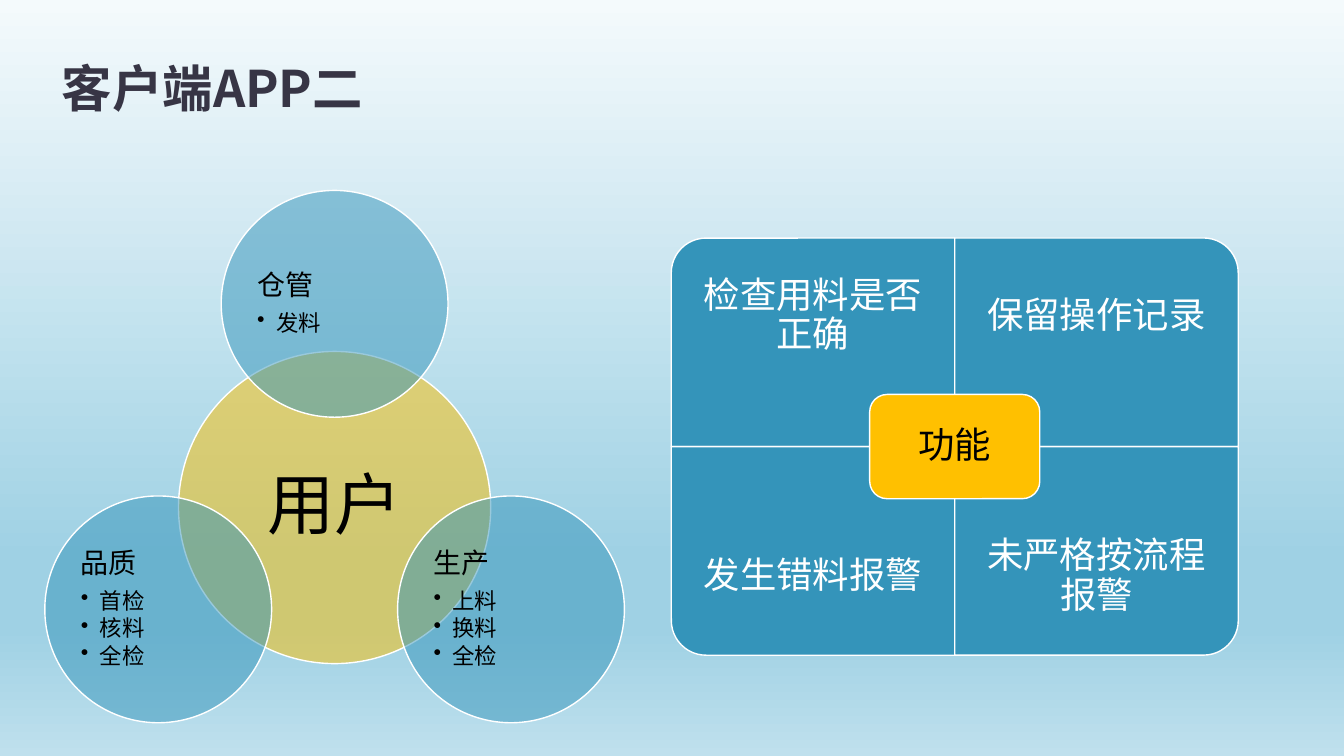
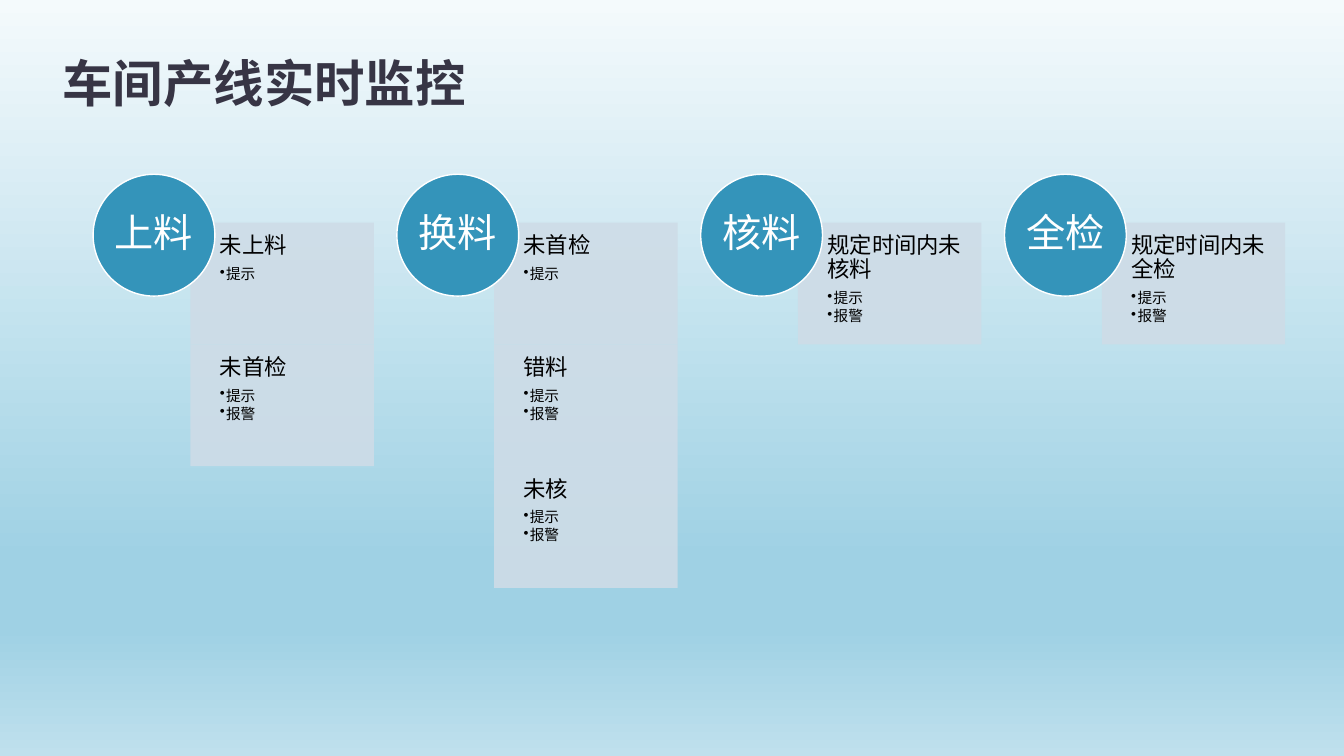
from math import cos, radians, sin

from lxml.etree import SubElement
from pptx import Presentation
from pptx.dml.color import RGBColor
from pptx.enum.shapes import MSO_SHAPE
from pptx.enum.text import MSO_ANCHOR, MSO_AUTO_SIZE, PP_ALIGN
from pptx.oxml.ns import qn
from pptx.util import Pt

FONT = "Noto Sans CJK SC"
BLUE = RGBColor(0x34, 0x94, 0xBA)
GOLD = RGBColor(0xFF, 0xC0, 0x00)
PALE = RGBColor(0xCE, 0xDC, 0xE7)
DARK = RGBColor(0x37, 0x35, 0x45)
WHITE = RGBColor(0xFF, 0xFF, 0xFF)
BLACK = RGBColor(0x00, 0x00, 0x00)
SKY = ((0, "F4FAFC"), (74, "9FD1E4"), (83, "9FD1E4"), (100, "BFE0ED"))


def paint_sky(master):
    """Give the master its four-stop vertical gradient."""
    fill = master.background.fill
    fill.gradient()
    fill.gradient_angle = 270
    stops = master.element.find(".//" + qn("p:bg")).find(".//" + qn("a:gsLst"))
    for stop in list(stops):
        stops.remove(stop)
    for place, shade in SKY:
        stop = SubElement(stops, qn("a:gs"), pos=str(place * 1000))
        SubElement(stop, qn("a:srgbClr"), val=shade)


def set_font(para, size, color, bold=False):
    font = para.font
    font.size, font.bold, font.name = Pt(size), bold, FONT
    font.color.rgb = color
    props = para._p.pPr.find(qn("a:defRPr"))
    SubElement(props, qn("a:ea"), typeface=FONT)


def add_title(deck, text, left, top):
    """Add a slide with the shared title style."""
    slide = deck.slides.add_slide(deck.slide_layouts[5])
    title = slide.shapes.title
    title.left, title.top = Pt(left), Pt(top)
    title.width, title.height = Pt(864), Pt(84)
    frame = title.text_frame
    frame.text = text
    frame.word_wrap = True
    frame.auto_size = MSO_AUTO_SIZE.NONE
    frame.vertical_anchor = MSO_ANCHOR.BOTTOM
    para = frame.paragraphs[0]
    para.alignment = PP_ALIGN.LEFT
    para.line_spacing = 0.9
    set_font(para, 36, DARK, bold=True)
    return slide


def add_form(slide, kind, box, color, alpha=100, edge=True):
    """Add a filled shape; box is left, top, width, height in points."""
    form = slide.shapes.add_shape(kind, *map(Pt, box))
    form.shadow.inherit = False
    form.fill.solid()
    form.fill.fore_color.rgb = color
    if alpha < 100:
        tone = form._element.spPr.find(qn("a:solidFill"))[0]
        SubElement(tone, qn("a:alpha"), val=str(alpha * 1000))
    if edge:
        form.line.color.rgb = WHITE
        form.line.width = Pt(1)
    else:
        form.line.fill.background()
    return form


def set_frame(form, insets, anchor=MSO_ANCHOR.MIDDLE):
    """Set wrapping, anchor and left, top, right, bottom insets."""
    frame = form.text_frame
    frame.word_wrap = True
    frame.vertical_anchor = anchor
    (frame.margin_left, frame.margin_top,
     frame.margin_right, frame.margin_bottom) = map(Pt, insets)
    return frame


def write_label(form, text, size, color, inset):
    frame = set_frame(form, [inset] * 4)
    frame.text = text
    para = frame.paragraphs[0]
    para.alignment = PP_ALIGN.CENTER
    para.line_spacing = 0.9
    set_font(para, size, color)


def write_list(frame, head, items, sizes, indent):
    """Write a heading and its bulleted items; sizes holds one for each."""
    for rank, text in enumerate([head, *items]):
        para = frame.add_paragraph() if rank else frame.paragraphs[0]
        para.text = text
        para.alignment = PP_ALIGN.LEFT
        para.line_spacing = 0.9
        size = sizes[1 if rank else 0]
        para.space_after = Pt(round(size * (0.15 if rank else 0.35), 1))
        if rank:
            para.level = 1
            props = para._p.get_or_add_pPr()
            props.set("marL", str(Pt(indent)))
            props.set("indent", str(-Pt(indent)))
            SubElement(props, qn("a:buChar"), char="•")
        set_font(para, size, BLACK)


def draw_users(slide):
    """Draw the user circle with its roles around it."""
    mid_x, mid_y, orbit = 239, 362.5, 145.5

    def add_disc(x, y, size, color):
        box = (x - size / 2, y - size / 2, size, size)
        return add_form(slide, MSO_SHAPE.OVAL, box, color, alpha=50)

    write_label(add_disc(mid_x, mid_y, 223, GOLD), "用户", 48, BLACK, 5)
    roles = (
        (-90, "仓管", ["发料"]),
        (30, "生产", ["上料", "换料", "全检"]),
        (150, "品质", ["首检", "核料", "全检"]),
    )
    for angle, role, tasks in roles:
        turn = radians(angle)
        disc = add_disc(mid_x + orbit * cos(turn),
                        mid_y + orbit * sin(turn), 162, BLUE)
        write_list(set_frame(disc, [2] * 4), role, tasks, (20, 16), 13.5)


def draw_matrix(slide):
    """Draw four functions around a central label."""
    left, top, wide, high, band = 479.5, 170, 202.5, 149, 112
    cells = (
        ("检查用料是否正确", 0, 0, 270),
        ("保留操作记录", 1, 0, 0),
        ("发生错料报警", 0, 1, 180),
        ("未严格按流程报警", 1, 1, 90),
    )
    for text, col, row, turn in cells:
        x, y = left + col * wide, top + row * high
        w, h = (high, wide) if turn % 180 else (wide, high)
        box = (x + (wide - w) / 2, y + (high - h) / 2, w, h)
        cell = add_form(slide, MSO_SHAPE.ROUND_1_RECTANGLE, box, BLUE)
        cell.rotation = turn
        area = (x, y + row * (high - band), wide, band)
        note = slide.shapes.add_textbox(*map(Pt, area))
        write_label(note, text, 26, WHITE, 14.5)
    w, h = 121.5, 74.5
    box = (left + wide - w / 2, top + high - h / 2, w, h)
    core = add_form(slide, MSO_SHAPE.ROUNDED_RECTANGLE, box, GOLD)
    write_label(core, "功能", 26, BLACK, 8)


def draw_steps(slide):
    """Draw each production step with its stack of checks."""
    hint, alarm = "提示", "报警"
    steps = (
        ("上料", (("未上料", [hint]), ("未首检", [hint, alarm]))),
        ("换料", (("未首检", [hint]), ("错料", [hint, alarm]),
                ("未核", [hint, alarm]))),
        ("核料", (("规定时间内未核料", [hint, alarm]),)),
        ("全检", (("规定时间内未全检", [hint, alarm]),)),
    )
    size = 87
    for col, (step, checks) in enumerate(steps):
        left = 66.5 + col * 217
        for row, (check, acts) in enumerate(checks):
            box = (left + 69.5, 159 + row * size, 131, size)
            card = add_form(slide, MSO_SHAPE.RECTANGLE, box, PALE, 90, False)
            frame = set_frame(card, (21, 8.5, 8.5, 8.5), MSO_ANCHOR.TOP)
            write_list(frame, check, acts, (16, 10.5), 4.5)
        disc = add_form(slide, MSO_SHAPE.OVAL, (left, 124.5, size, size), BLUE)
        write_label(disc, step, 28, WHITE, 0)


def main():
    deck = Presentation()
    deck.slide_width, deck.slide_height = Pt(960), Pt(540)
    paint_sky(deck.slide_master)
    client = add_title(deck, "客户端APP二", 37, 4.5)
    draw_users(client)
    draw_matrix(client)
    draw_steps(add_title(deck, "车间产线实时监控", 37.5, 1))
    deck.save("out.pptx")


if __name__ == "__main__":
    main()
